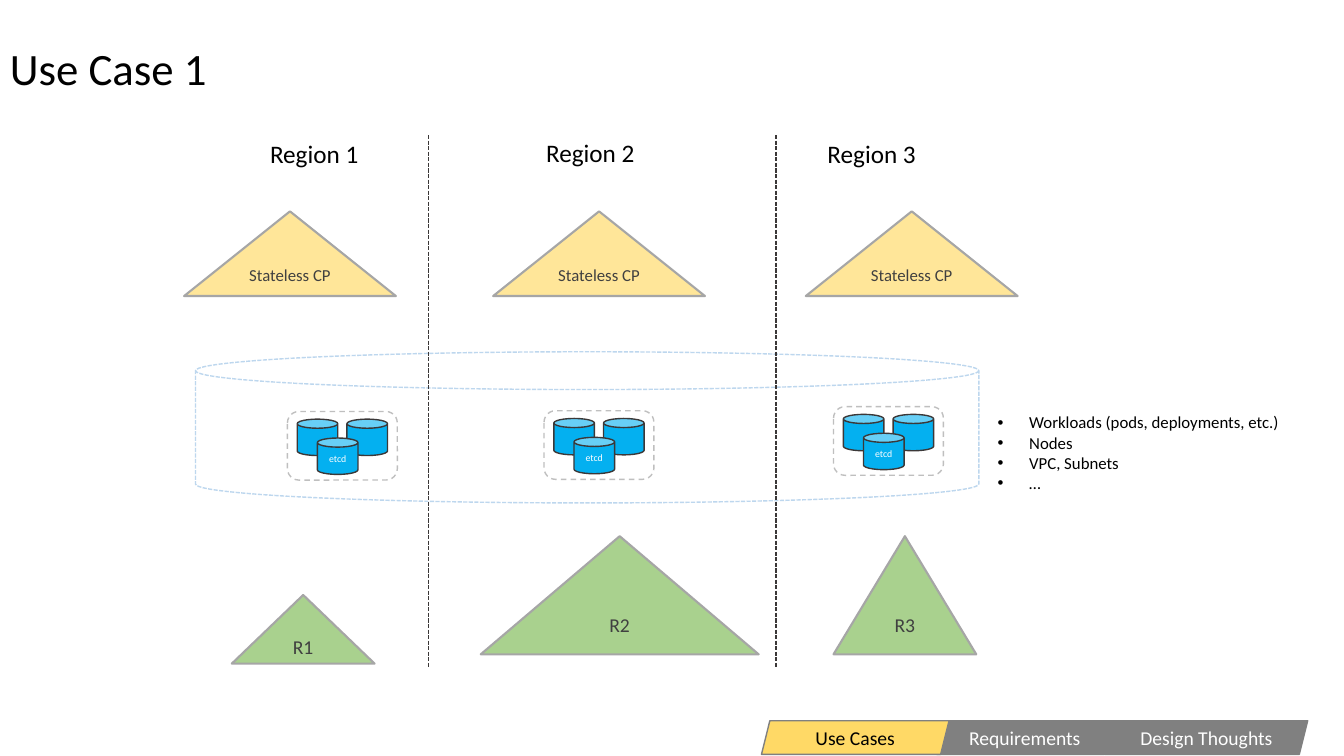
from lxml import etree
from pptx import Presentation
from pptx.dml.color import RGBColor
from pptx.enum.dml import MSO_LINE
from pptx.enum.shapes import MSO_CONNECTOR, MSO_SHAPE
from pptx.enum.text import MSO_ANCHOR, PP_ALIGN
from pptx.oxml.ns import qn
from pptx.util import Pt

TRIANGLE = MSO_SHAPE.ISOSCELES_TRIANGLE
CAN = MSO_SHAPE.CAN
ROUND_RECT = MSO_SHAPE.ROUNDED_RECTANGLE
PARALLELOGRAM = MSO_SHAPE.PARALLELOGRAM
STRAIGHT = MSO_CONNECTOR.STRAIGHT
SYS_DASH = MSO_LINE.SQUARE_DOT
DASH = MSO_LINE.DASH
LEFT, CENTER = PP_ALIGN.LEFT, PP_ALIGN.CENTER
TOP, MIDDLE = MSO_ANCHOR.TOP, MSO_ANCHOR.MIDDLE

BLACK, WHITE = "000000", "FFFFFF"
INK, OUTLINE = "404040", "3B3838"
GRAY, MID_GRAY, PALE_GRAY = "808080", "A6A6A6", "BFBFBF"
GREEN, YELLOW, GOLD = "A9D18E", "FFE699", "FFD966"
BLUE, PALE_BLUE = "04B0F0", "BDD7EE"


def rgb(value):
    return RGBColor.from_string(value)


def write(tf, text, size=12, color=BLACK, align=LEFT, anchor=TOP, spacing=None, bullet=None):
    tf.word_wrap = True
    tf.vertical_anchor = anchor
    for i, line in enumerate(text.split("\n")):
        p = tf.paragraphs[0] if i == 0 else tf.add_paragraph()
        p.alignment = align
        if spacing:
            p.line_spacing = spacing
        if bullet:
            pPr = p._p.get_or_add_pPr()
            pPr.set("marL", str(Pt(22.5)))
            pPr.set("indent", str(-Pt(22.5)))
            etree.SubElement(pPr, qn("a:buFont")).set("typeface", "Arial")
            etree.SubElement(pPr, qn("a:buChar")).set("char", bullet)
        r = p.add_run()
        r.text = line
        r.font.name = "Calibri"
        r.font.size = Pt(size)
        r.font.color.rgb = rgb(color)


class Deck:
    def __init__(self):
        self.prs = Presentation()
        self.prs.slide_width, self.prs.slide_height = Pt(960), Pt(540)
        self.s = self.prs.slides.add_slide(self.prs.slide_layouts[6])

    def text(self, x, y, w, h, text, **fmt):
        sp = self.s.shapes.add_textbox(Pt(x), Pt(y), Pt(w), Pt(h))
        write(sp.text_frame, text, **fmt)

    def shape(self, kind, x, y, w, h, fill=None, line=GRAY, width=1, dash=None,
              text=None, parent=None, **fmt):
        shapes = (parent or self.s).shapes
        sp = shapes.add_shape(kind, Pt(x), Pt(y), Pt(w), Pt(h))
        sp.shadow.inherit = False
        if fill:
            sp.fill.solid()
            sp.fill.fore_color.rgb = rgb(fill)
        else:
            sp.fill.background()
        sp.line.color.rgb = rgb(line)
        sp.line.width = Pt(width)
        if dash:
            sp.line.dash_style = dash
        if text:
            tf = sp.text_frame
            tf.margin_left = tf.margin_right = tf.margin_top = tf.margin_bottom = 0
            write(tf, text, align=CENTER, anchor=MIDDLE, **fmt)

    def triangle(self, x, y, w, h, fill, text, size):
        self.shape(TRIANGLE, x, y, w, h, fill, MID_GRAY, 1.5, text=text, size=size, color=INK)

    def divider(self, x, top, bottom):
        c = self.s.shapes.add_connector(STRAIGHT, Pt(x), Pt(top), Pt(x), Pt(bottom))
        c.line.color.rgb = rgb(OUTLINE)
        c.line.width = Pt(1)
        c.line.dash_style = SYS_DASH
        etree.SubElement(c._element.spPr, qn("a:effectLst"))

    def etcd_cluster(self, x, y):
        group = self.s.shapes.add_group_shape()
        for dx, dy, label in ((42.5, 5.5, None), (7, 5.5, None), (21.4, 19, "etcd")):
            self.shape(CAN, x + dx, y + dy, 29, 26, BLUE, OUTLINE,
                       text=label, parent=group, size=7, color=WHITE)
        self.shape(ROUND_RECT, x, y, 78.5, 49, line=PALE_GRAY, dash=DASH, parent=group)


def main():
    deck = Deck()
    deck.text(0, -1.4, 414, 104.4, "Use Case 1", size=32, anchor=MIDDLE, spacing=0.9)

    deck.shape(CAN, 139.7, 251.3, 559.5, 108, line=PALE_BLUE, dash=SYS_DASH)

    regions = (
        ((185.8, 95), 131.5, (205.3, 293.9), (165.6, 425, 102, 49)),
        ((383, 94.3), 352.3, (388.6, 293.4), (343.4, 383, 198.5, 84.4)),
        ((584, 95), 575.6, (595.4, 290.5), (595.4, 383, 102, 84.4)),
    )
    for n, (label, plane_x, cluster, workload) in enumerate(regions, 1):
        deck.text(*label, 92, 29, f"Region {n}", size=18)
        deck.triangle(plane_x, 151, 151.3, 60.5, YELLOW, "Stateless CP", 12)
        deck.etcd_cluster(*cluster)
        deck.triangle(*workload, GREEN, f"R{n}", 14)

    for x in (306, 554.3):
        deck.divider(x, 96.5, 476.5)

    deck.text(705.6, 290.9, 225, 80, "Workloads (pods, deployments, etc.)\nNodes\nVPC, Subnets\n…",
              bullet="•")

    for x, w, fill, color, label in (
        (669, 126, GRAY, WHITE, "Requirements"),
        (789.4, 144.7, GRAY, WHITE, "Design Thoughts"),
        (543.9, 134, GOLD, BLACK, "Use Cases"),
    ):
        deck.shape(PARALLELOGRAM, x, 514.8, w, 24, fill, text=label, size=14, color=color)

    deck.prs.save("out.pptx")


if __name__ == "__main__":
    main()
